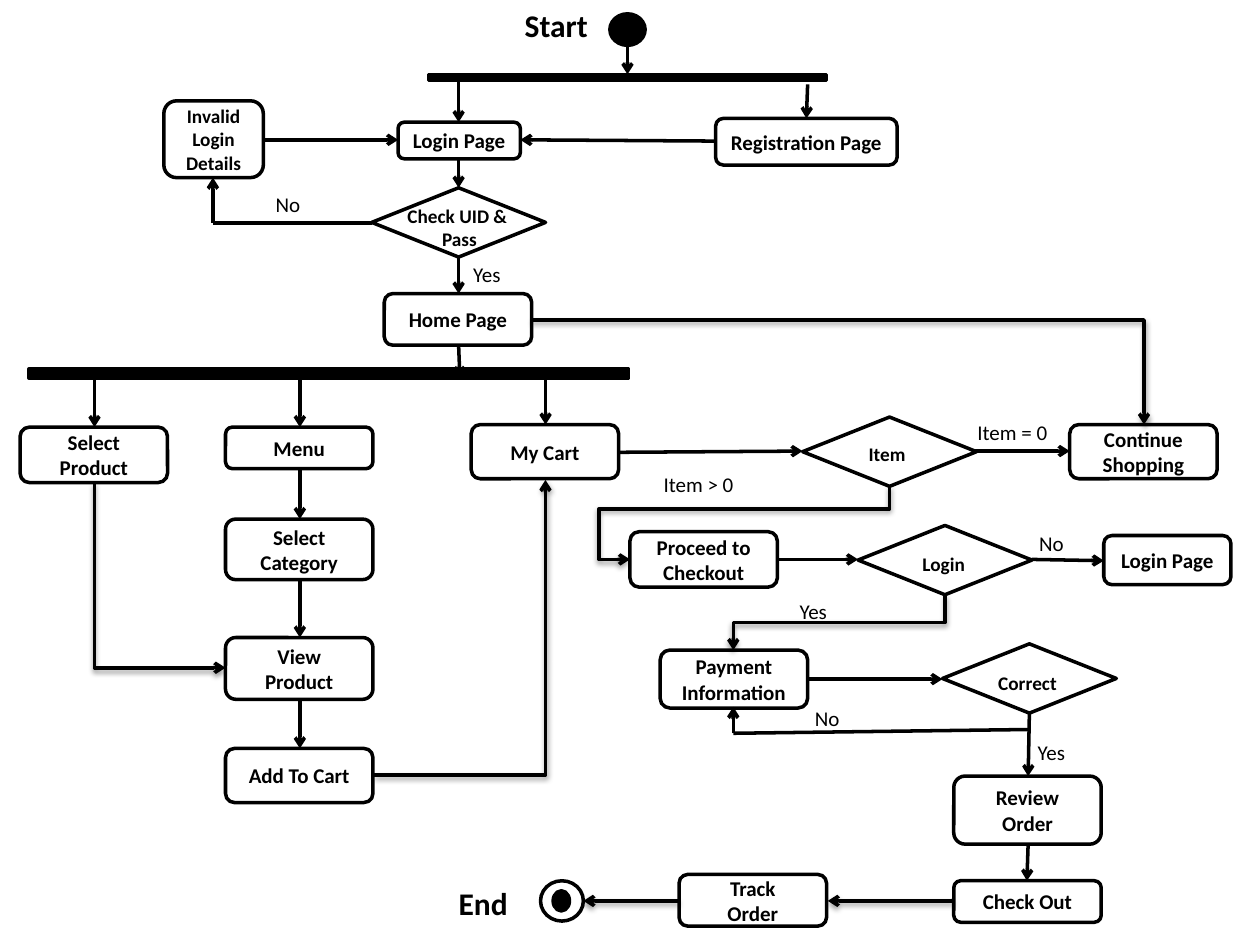
from dataclasses import dataclass

import pptx
import pptx.dml.color
import pptx.enum.shapes
import pptx.enum.text
import pptx.oxml
import pptx.oxml.ns
import pptx.util

Inches = pptx.util.Inches
Pt = pptx.util.Pt
Kind = pptx.enum.shapes.MSO_SHAPE
Joint = pptx.enum.shapes.MSO_CONNECTOR
Anchor = pptx.enum.text.MSO_ANCHOR
Fit = pptx.enum.text.MSO_AUTO_SIZE

INK = {"black": "000000", "white": "FFFFFF"}
FONT = "Calibri"
SPACE = 'xmlns:a="http://schemas.openxmlformats.org/drawingml/2006/main"'
SHADE = (
    f'<a:effectLst {SPACE}><a:outerShdw blurRad="{Pt(3.1)}" dist="{Pt(1.6)}" '
    f'dir="5400000" rotWithShape="0"><a:srgbClr val="{INK["black"]}">'
    '<a:alpha val="38000"/></a:srgbClr></a:outerShdw></a:effectLst>'
)
PLAIN = f"<a:effectLst {SPACE}/>"
HEAD = f'<a:tailEnd {SPACE} type="arrow"/>'


@dataclass
class Node:
    x: float
    y: float
    w: float
    h: float
    text: str = ""
    size: int = 12
    kind: int = Kind.ROUNDED_RECTANGLE
    fill: str = "white"


@dataclass
class Label:
    x: float
    y: float
    w: float
    h: float
    text: str
    size: int = 12
    bold: bool = False
    wrap: bool = True


@dataclass
class Link:
    x1: float
    y1: float
    x2: float
    y2: float
    head: bool = True
    shade: bool = False
    bend: int = 0
    turn: int = 0
    shift: tuple[float, ...] = ()


def choice(x: float, y: float) -> Node:
    return Node(x, y, 1.38, 0.55, kind=Kind.DIAMOND)


def step(x: float, y: float, h: float, text: str) -> Node:
    return Node(x, y, 1.17, h, text)


def drop(x: float, y1: float, y2: float) -> Link:
    return Link(x, y1, x, y2)


def note(x: float, y: float, text: str) -> Label:
    return Label(x, y, 0.87, 0.3, text)


def title(x: float, y: float, w: float, h: float, text: str) -> Label:
    return Label(x, y, w, h, text, size=11, bold=True, wrap=False)


NODES = [
    Node(5.68, 0.94, 1.44, 0.37, "Registration Page"),
    Node(4.84, 0.11, 0.28, 0.25, kind=Kind.OVAL, fill="black"),
    Node(3.4, 0.59, 3.16, 0.05, kind=Kind.RECTANGLE, fill="black"),
    Node(1.3, 0.8, 0.79, 0.61, "Invalid Login Details", size=11),
    Node(3.16, 0.97, 0.97, 0.29, "Login Page"),
    choice(2.95, 1.49),
    step(3.05, 2.33, 0.41, "Home Page"),
    Node(0.23, 2.93, 4.76, 0.07, kind=Kind.RECTANGLE, fill="black"),
    step(0.16, 3.39, 0.44, "Select Product"),
    step(1.79, 3.39, 0.33, "Menu"),
    step(1.79, 4.12, 0.48, "Select Category"),
    step(1.79, 5.06, 0.49, "View Product"),
    step(1.79, 5.94, 0.43, "Add To Cart"),
    step(3.74, 3.37, 0.43, "My Cart"),
    choice(6.37, 3.31),
    step(8.49, 3.37, 0.43, "Continue Shopping"),
    step(5, 4.22, 0.44, "Proceed to Checkout"),
    choice(6.81, 4.17),
    Node(8.76, 4.25, 1.01, 0.39, "Login Page"),
    step(5.24, 5.16, 0.46, "Payment Information"),
    choice(7.48, 5.11),
    step(7.57, 6.16, 0.54, "Review Order"),
    step(7.57, 6.99, 0.33, "Check Out"),
    step(5.39, 6.94, 0.41, "Track\nOrder"),
    Node(4.29, 6.99, 0.34, 0.32, kind=Kind.OVAL),
    Node(4.39, 7.07, 0.13, 0.16, kind=Kind.OVAL, fill="black"),
]

LINKS = [
    drop(4.98, 0.36, 0.59),
    drop(3.64, 0.64, 0.97),
    Link(6.41, 0.67, 6.4, 0.94),
    Link(5.68, 1.12, 4.13, 1.11),
    Link(2.09, 1.11, 3.16, 1.11),
    drop(3.64, 1.25, 1.49),
    Link(1.69, 1.77, 2.95, 1.77, head=False),
    drop(1.69, 1.77, 1.41),
    drop(3.64, 2.04, 2.33),
    Link(3.64, 2.74, 3.65, 3),
    drop(0.75, 3, 3.39),
    drop(2.38, 3, 3.39),
    drop(4.33, 3, 3.37),
    drop(2.38, 3.72, 4.12),
    drop(2.38, 4.59, 5.06),
    drop(2.38, 5.55, 5.94),
    Link(4.91, 3.59, 6.37, 3.58),
    Link(7.74, 3.58, 8.49, 3.58),
    Link(6.17, 4.44, 6.81, 4.44),
    Link(8.19, 4.44, 8.76, 4.45),
    Link(6.41, 5.39, 7.48, 5.39),
    Link(8.17, 5.66, 8.16, 6.16),
    Link(8.16, 5.79, 5.82, 5.82, head=False),
    drop(5.82, 5.82, 5.61),
    Link(8.16, 6.7, 8.15, 6.99),
    Link(7.57, 7.15, 6.57, 7.15, shade=True),
    Link(5.39, 7.15, 4.63, 7.15, shade=True),
    Link(4.22, 2.54, 9.08, 3.37, shade=True, bend=2),
    Link(2.97, 6.15, 4.33, 3.81, shade=True, bend=2),
    Link(0.75, 3.83, 1.79, 5.3, shade=True, bend=2, turn=270),
    Link(7.5, 4.72, 5.82, 5.16, shade=True, bend=3, turn=90, shift=(0.5,)),
    Link(7.06, 3.86, 5, 4.44, shade=True, bend=4, turn=90, shift=(0.31, 1.12)),
]

LABELS = [
    Label(3.98, 0, 0.87, 0.4, "Start", size=18, bold=True),
    Label(3.54, 6.97, 0.59, 0.4, "End", size=18, bold=True, wrap=False),
    title(3.13, 1.57, 1, 0.47, "Check UID &\n Pass"),
    title(6.79, 3.46, 0.5, 0.29, "Item"),
    title(7.22, 4.33, 0.54, 0.29, "Login"),
    title(7.82, 5.28, 0.67, 0.29, "Correct"),
    note(3.43, 2.03, "Yes"),
    note(1.85, 1.47, "No"),
    note(7.6, 3.28, "Item = 0"),
    note(5.11, 3.69, "Item > 0"),
    note(7.91, 4.16, "No"),
    note(7.91, 5.82, "Yes"),
    note(6.02, 4.7, "Yes"),
    note(6.13, 5.55, "No"),
]


def tint(name: str) -> pptx.dml.color.RGBColor:
    return pptx.dml.color.RGBColor.from_string(INK[name])


def write(frame, text: str, *, size: int, bold: bool, wrap: bool, anchor) -> None:
    frame.word_wrap = wrap
    frame.vertical_anchor = anchor
    for i, line in enumerate(text.split("\n")):
        para = frame.paragraphs[0] if i == 0 else frame.add_paragraph()
        para.alignment = pptx.enum.text.PP_ALIGN.CENTER
        run = para.add_run()
        run.text = line
        run.font.name, run.font.size, run.font.bold = FONT, Pt(size), bold
        run.font.color.rgb = tint("black")


def stroke(line) -> None:
    line.color.rgb = tint("black")
    line.width = Pt(2)


def draw_node(slide, node: Node) -> None:
    area = map(Inches, (node.x, node.y, node.w, node.h))
    shape = slide.shapes.add_shape(node.kind, *area)
    shape.shadow.inherit = False
    shape.fill.solid()
    shape.fill.fore_color.rgb = tint(node.fill)
    stroke(shape.line)
    if node.text:
        write(shape.text_frame, node.text, size=node.size, bold=True,
              wrap=True, anchor=Anchor.MIDDLE)


def draw_link(slide, link: Link) -> None:
    mid_x, mid_y = (link.x1 + link.x2) / 2, (link.y1 + link.y2) / 2
    dx, dy = link.x1 - mid_x, link.y1 - mid_y
    dx, dy = {0: (dx, dy), 90: (dy, -dx), 270: (-dy, dx)}[link.turn]
    ends = map(Inches, (mid_x + dx, mid_y + dy, mid_x - dx, mid_y - dy))
    kind = Joint.ELBOW if link.bend else Joint.STRAIGHT
    line = slide.shapes.add_connector(kind, *ends)
    stroke(line.line)
    prop = line._element.spPr
    if link.head:
        line.line._get_or_add_ln().append(pptx.oxml.parse_xml(HEAD))
    prop.append(pptx.oxml.parse_xml(SHADE if link.shade else PLAIN))
    if link.turn:
        prop.find(pptx.oxml.ns.qn("a:xfrm")).set("rot", str(link.turn * 60000))
    if link.bend:
        geom = prop.find(pptx.oxml.ns.qn("a:prstGeom"))
        geom.set("prst", f"bentConnector{link.bend}")
        marks = geom.find(pptx.oxml.ns.qn("a:avLst"))
        for i, part in enumerate(link.shift, 1):
            marks.append(pptx.oxml.parse_xml(
                f'<a:gd {SPACE} name="adj{i}" fmla="val {round(part * 100000)}"/>'))


def draw_label(slide, label: Label) -> None:
    area = map(Inches, (label.x, label.y, label.w, label.h))
    frame = slide.shapes.add_textbox(*area).text_frame
    write(frame, label.text, size=label.size, bold=label.bold,
          wrap=label.wrap, anchor=Anchor.TOP)
    frame.auto_size = Fit.SHAPE_TO_FIT_TEXT


deck = pptx.Presentation()
deck.slide_width, deck.slide_height = Inches(10), Inches(7.5)
slide = deck.slides.add_slide(deck.slide_layouts[6])
for draw, items in ((draw_node, NODES), (draw_link, LINKS), (draw_label, LABELS)):
    for item in items:
        draw(slide, item)
deck.save("out.pptx")
